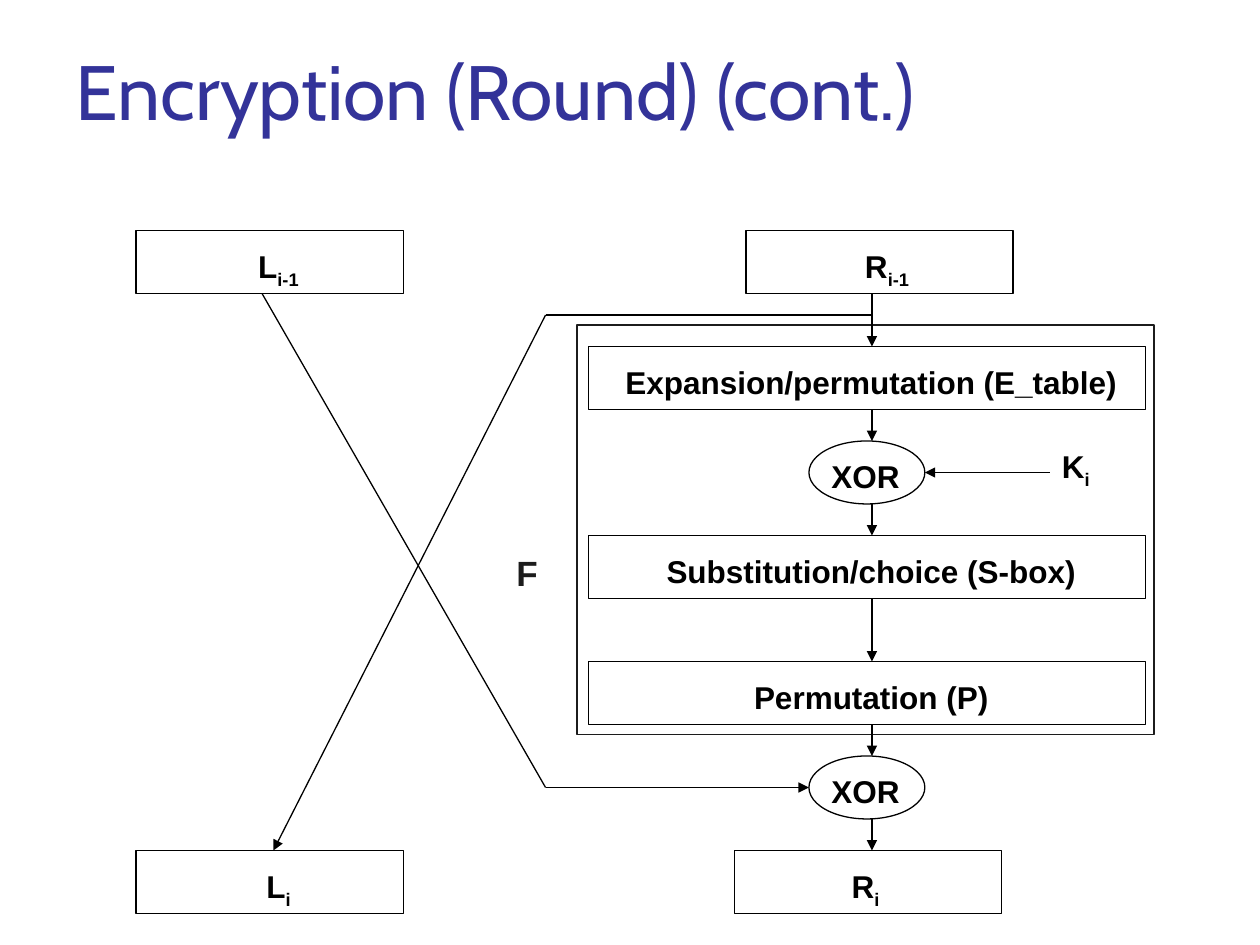
from lxml import etree
from pptx import Presentation
from pptx.dml.color import RGBColor
from pptx.enum.shapes import MSO_CONNECTOR, MSO_SHAPE
from pptx.enum.text import PP_ALIGN
from pptx.oxml.ns import qn
from pptx.util import Inches, Pt

RECTANGLE, OVAL = MSO_SHAPE.RECTANGLE, MSO_SHAPE.OVAL
STRAIGHT = MSO_CONNECTOR.STRAIGHT
LEFT, CENTER = PP_ALIGN.LEFT, PP_ALIGN.CENTER
BLACK, CHARCOAL, TITLE_BLUE = "000000", "1C1C1C", "333399"
SPINE = 6.92  # x of the vertical data path
BEND = 4.33  # x where the crossing paths turn

deck = Presentation()
deck.slide_width, deck.slide_height = Inches(10), Inches(7.5)
page = deck.slides.add_slide(deck.slide_layouts[6])


def add_outline(kind, left, top, width, height, color=BLACK):
    box = page.shapes.add_shape(
        kind, Inches(left), Inches(top), Inches(width), Inches(height))
    box.shadow.inherit = False
    box.fill.background()
    box.line.color.rgb = RGBColor.from_string(color)
    box.line.width = Pt(0.75)


def add_label(left, top, width, height, text, subscript="", align=CENTER,
              size=18, color=BLACK, font="Arial", bold=True):
    """Add a text box, with an optional subscript after the text."""
    box = page.shapes.add_textbox(
        Inches(left), Inches(top), Inches(width), Inches(height))
    box.text_frame.word_wrap = True
    para = box.text_frame.paragraphs[0]
    para.text = text
    para.alignment = align
    if subscript:
        para.add_run().text = subscript
        para.runs[1].font._element.set("baseline", "-25000")
    for span in para.runs:
        span.font.name = font
        span.font.size = Pt(size)
        span.font.bold = bold
        span.font.color.rgb = RGBColor.from_string(color)


add_label(0.5, 0.3, 9, 1.25, "Encryption (Round) (cont.)", align=LEFT,
          size=44, color=TITLE_BLUE, font="Cabin", bold=False)

# Input and output halves: box left, label left, top, letter, index
for left, label_left, top, letter, index in [
    (1.08, 1.17, 1.83, "L", "i-1"),
    (5.92, 6, 1.83, "R", "i-1"),
    (1.08, 1.17, 6.75, "L", "i"),
    (5.83, 5.83, 6.75, "R", "i"),
]:
    add_outline(RECTANGLE, left, top, 2.12, 0.5)
    add_label(label_left, top + 0.08, 2.08, 0.4, letter, index)

# Round function F
add_outline(RECTANGLE, 4.58, 2.58, 4.58, 3.25, CHARCOAL)
add_label(4, 4.33, 0.5, 0.42, "F", align=LEFT, size=20, color=CHARCOAL)
for top, step in [
    (2.75, "Expansion/permutation (E_table)"),
    (4.25, "Substitution/choice (S-box)"),
    (5.25, "Permutation (P)"),
]:
    add_outline(RECTANGLE, 4.67, top, 4.42, 0.5)
    add_label(4.75, top + 0.08, 4.33, 0.4, step)

for top in (3.5, 6):
    add_outline(OVAL, 6.42, top, 0.92, 0.5)
    add_label(6.5, top + 0.08, 0.92, 0.4, "XOR", align=LEFT)
add_label(8.33, 3.5, 0.42, 0.4, "K", "i", align=LEFT)

# Paths: start x, start y, end x, end y, arrowhead at the end
spine_steps = [(2.33, 2.75), (3.25, 3.5), (4, 4.25), (4.75, 5.25),
               (5.75, 6), (6.5, 6.75)]
paths = [(SPINE, start, SPINE, end, True) for start, end in spine_steps]
paths += [
    (8.33, 3.75, 7.34, 3.75, True),
    (SPINE, 2.5, BEND, 2.5, False),
    (BEND, 2.5, 2.17, 6.75, True),
    (2.08, 2.33, BEND, 6.25, False),
    (BEND, 6.25, 6.42, 6.25, True),
]
for start_x, start_y, end_x, end_y, has_arrow in paths:
    path = page.shapes.add_connector(
        STRAIGHT, Inches(start_x), Inches(start_y), Inches(end_x), Inches(end_y))
    path.line.color.rgb = RGBColor.from_string(BLACK)
    path.line.width = Pt(0.75)
    if has_arrow:
        etree.SubElement(path.line._get_or_add_ln(), qn("a:tailEnd"), type="triangle")
    etree.SubElement(path._element.spPr, qn("a:effectLst"))

deck.save("out.pptx")
